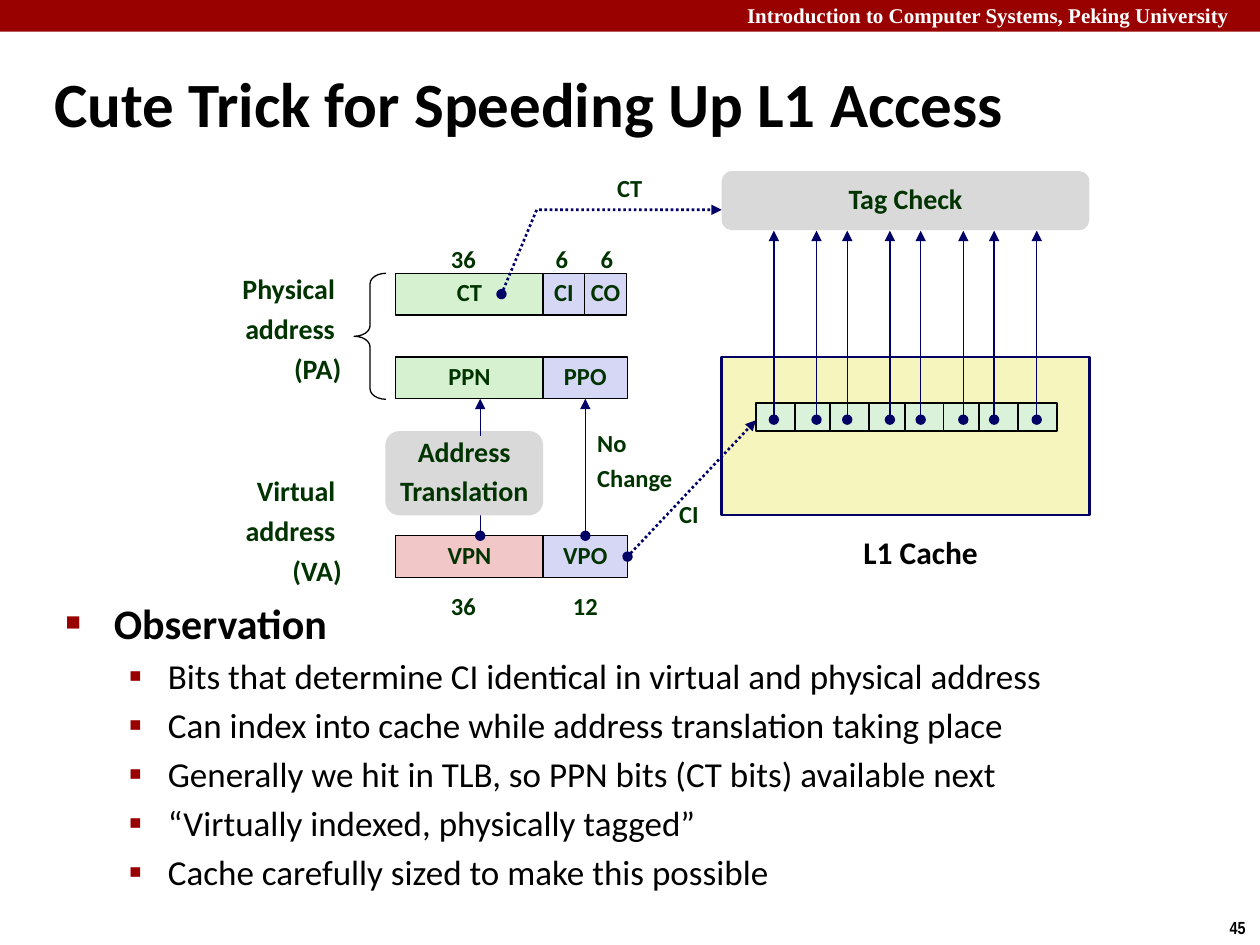
from lxml.etree import SubElement
from pptx import Presentation
from pptx.dml.color import RGBColor
from pptx.enum.dml import MSO_LINE
from pptx.enum.shapes import MSO_CONNECTOR, MSO_SHAPE as SHAPE
from pptx.enum.text import MSO_ANCHOR as ANCHOR, MSO_AUTO_SIZE as AUTO, PP_ALIGN as ALIGN
from pptx.oxml.ns import qn
from pptx.util import Cm, Pt

RED = RGBColor(0x99, 0x00, 0x00)
WHITE = RGBColor(0xFF, 0xFF, 0xFF)
BLACK = RGBColor(0x00, 0x00, 0x00)
DARK_GREEN = RGBColor(0x00, 0x33, 0x00)
NAVY = RGBColor(0x00, 0x00, 0x66)
GREEN = RGBColor(0xD5, 0xF1, 0xCF)
PALE_GREEN = RGBColor(0xDB, 0xF2, 0xDA)
LILAC = RGBColor(0xD6, 0xD6, 0xF5)
PINK = RGBColor(0xF1, 0xC7, 0xC7)
GREY = RGBColor(0xD9, 0xD9, 0xD9)
YELLOW = RGBColor(0xF6, 0xF5, 0xBD)

# Address fields: left edges, widths and row tops in cm
TAG_X, OFFSET_X, CO_X = 7.98, 10.95, 11.79
TAG_W, OFFSET_W, HALF_W, ROW_H = 2.97, 1.7, 0.84, 0.84
PA_Y, PPN_Y, VA_Y = 5.51, 7.2, 10.8
CACHE_X, CACHE_W = 14.55, 7.41


def write(tf, text, size=14, color=DARK_GREEN, bold=True, font="Calibri",
          align=ALIGN.LEFT, spacing=0.88, before=5.2):
    """Fill a text frame with one paragraph per line of text."""
    for i, line in enumerate(text.split("\n")):
        p = tf.paragraphs[0] if i == 0 else tf.add_paragraph()
        p.alignment = align
        p.line_spacing = spacing
        p.space_before = Pt(before if i else 0)
        r = p.add_run()
        r.text = line
        r.font.size, r.font.bold, r.font.name = Pt(size), bold, font
        r.font.color.rgb = color


def add_label(s, text, x, y, w, h=0.79, wrap=False, **fmt):
    tf = s.shapes.add_textbox(Cm(x), Cm(y), Cm(w), Cm(h)).text_frame
    tf.word_wrap = wrap
    tf.auto_size = AUTO.SHAPE_TO_FIT_TEXT
    write(tf, text, **fmt)


def add_box(s, x, y, w, h, fill=None, line=None, width=0.75, text="",
            kind=SHAPE.RECTANGLE, size=14):
    sp = s.shapes.add_shape(kind, Cm(x), Cm(y), Cm(w), Cm(h))
    sp.shadow.inherit = False
    if fill is None:
        sp.fill.background()
    else:
        sp.fill.solid()
        sp.fill.fore_color.rgb = fill
    if line is None:
        sp.line.fill.background()
    else:
        sp.line.color.rgb = line
        sp.line.width = Pt(width)
    if text:
        tf = sp.text_frame
        tf.word_wrap = False
        tf.vertical_anchor = ANCHOR.MIDDLE
        write(tf, text, size=size, align=ALIGN.CENTER)
    return sp


def style_arrow(sp, dotted=False, start_dot=True):
    sp.line.color.rgb = NAVY
    sp.line.width = Pt(1.5 if dotted else 0.75)
    if dotted:
        sp.line.dash_style = MSO_LINE.ROUND_DOT
    ln = sp.element.spPr.find(qn("a:ln"))
    if start_dot:
        SubElement(ln, qn("a:headEnd"), type="oval")
    SubElement(ln, qn("a:tailEnd"), type="triangle")


def add_arrow(s, x1, y1, x2, y2, **style):
    c = s.shapes.add_connector(MSO_CONNECTOR.STRAIGHT, Cm(x1), Cm(y1), Cm(x2), Cm(y2))
    style_arrow(c, **style)
    SubElement(c.element.spPr, qn("a:effectLst"))


def add_bent_arrow(s, start, *points):
    fb = s.shapes.build_freeform(*map(Cm, start))
    fb.add_line_segments([(Cm(x), Cm(y)) for x, y in points], close=False)
    sp = fb.convert_to_shape()
    sp.fill.background()
    style_arrow(sp, dotted=True)
    sp.shadow.inherit = False


def set_indent(p, left, first):
    pPr = p._p.get_or_add_pPr()
    pPr.set("marL", str(Cm(left)))
    pPr.set("indent", str(Cm(first)))
    return pPr


def set_bullet(p, char, percent, left, hang):
    pPr = set_indent(p, left, -hang)
    SubElement(SubElement(pPr, qn("a:buClr")), qn("a:srgbClr"), val=str(RED))
    SubElement(pPr, qn("a:buSzPct"), val=str(percent * 1000))
    SubElement(pPr, qn("a:buChar"), char=char)


def place(sp, x, y, w, h, anchor):
    sp.left, sp.top, sp.width, sp.height = Cm(x), Cm(y), Cm(w), Cm(h)
    tf = sp.text_frame
    tf.word_wrap, tf.auto_size, tf.vertical_anchor = True, AUTO.NONE, anchor
    return tf


def add_header(s):
    add_box(s, 0, 0, 25.4, 0.64, RED)
    add_label(s, "Introduction to Computer Systems, Peking University", 14.81, -0.08,
              10.77, 0.76, wrap=True, size=12, color=WHITE, font="Times New Roman", spacing=1)
    add_label(s, "45", 24.54, 18.36, 0.86, 0.69, size=10, color=BLACK,
              font="Arial Narrow", spacing=1)


def add_title_and_list(s):
    tf = place(s.shapes.title, 0.84, 1.27, 22.02, 1.6, ANCHOR.MIDDLE)
    write(tf, "Cute Trick for Speeding Up L1 Access", size=36, color=BLACK, spacing=1)
    set_indent(tf.paragraphs[0], 0.33, -0.33)

    tf = place(s.placeholders[1], 1.07, 11.91, 23.75, 6.5, ANCHOR.TOP)
    write(tf, "Observation\n"
              "Bits that determine CI identical in virtual and physical address\n"
              "Can index into cache while address translation taking place\n"
              "Generally we hit in TLB, so PPN bits (CT bits) available next\n"
              "“Virtually indexed, physically tagged”\n"
              "Cache carefully sized to make this possible",
          size=20, color=BLACK, bold=False, spacing=1, before=4)
    heading, *items = tf.paragraphs
    heading.runs[0].font.size, heading.runs[0].font.bold = Pt(24), True
    set_bullet(heading, "■", 60, 0.97, 0.97)
    for p in items:
        p.level = 1
        set_bullet(p, "▪", 110, 2.06, 0.79)


def add_addresses(s):
    # Address names and brace
    for text, x, y, w in (("Physical \naddress \n(PA)", 0.2, 5.44, 6.93),
                          ("Virtual \naddress \n(VA)", 4.17, 9.5, 2.97)):
        add_label(s, text, x, y, w, 2.49, wrap=True, size=16, align=ALIGN.RIGHT, before=6)
    brace = add_box(s, 7.14, PA_Y, 0.64, 2.54, line=BLACK, kind=SHAPE.LEFT_BRACE)
    brace.adjustments[0] = 0.333

    # Address fields
    for text, x, y, w, fill in (("CT", TAG_X, PA_Y, TAG_W, GREEN),
                                ("CI", OFFSET_X, PA_Y, HALF_W, LILAC),
                                ("CO", CO_X, PA_Y, HALF_W, LILAC),
                                ("PPN", TAG_X, PPN_Y, TAG_W, GREEN),
                                ("PPO", OFFSET_X, PPN_Y, OFFSET_W, LILAC),
                                ("VPN", TAG_X, VA_Y, TAG_W, PINK),
                                ("VPO", OFFSET_X, VA_Y, OFFSET_W, LILAC)):
        add_box(s, x, y, w, ROW_H, fill, BLACK, text=text)

    # Bit counts
    for text, x, y, w in (("36", 8.84, 4.88, 1.02), ("6", OFFSET_X, 4.88, 0.76),
                          ("6", 11.86, 4.88, 0.76), ("36", 8.84, 11.86, 1.02)):
        add_label(s, text, x, y, w)
    add_label(s, "12", OFFSET_X, 11.86, OFFSET_W, wrap=True, align=ALIGN.CENTER)

    # Translation from virtual to physical
    add_arrow(s, 9.68, VA_Y, 9.68, 10.16)
    add_box(s, 7.77, 8.69, 3.18, 1.7, GREY, text="Address\nTranslation",
            kind=SHAPE.ROUNDED_RECTANGLE, size=16)
    add_arrow(s, 9.68, 8.79, 9.68, 8.04, start_dot=False)
    add_arrow(s, 11.8, VA_Y, 11.8, 8.04)
    add_label(s, "No\nChange", 11.79, 8.59, 2.03, 1.5)


def add_cache(s):
    add_box(s, CACHE_X, 7.2, CACHE_W, 3.18, YELLOW, NAVY, 1.5)
    add_label(s, "L1 Cache", 16.87, 10.62, 3.38, 1.02, wrap=True, size=18, color=BLACK,
              align=ALIGN.CENTER, spacing=1)

    # Index and tag paths
    add_arrow(s, 12.65, 11.22, 15.24, 8.47, dotted=True)
    add_label(s, "CI", 13.44, 10.01, 0.91)
    add_bent_arrow(s, (10.11, 5.93), (10.82, 4.23), (CACHE_X, 4.23))
    add_label(s, "CT", 12.19, 3.45, 1.02)

    # Cache lines in pairs, each sending its tag up to the check
    for pair in range(4):
        for half in range(2):
            add_box(s, 15.24 + 1.5 * pair + 0.78 * half, 8.13, 0.79, 0.56,
                    PALE_GREEN, BLACK, 1)
    for pair in range(4):
        for half in range(2):
            x = 15.6 + 1.48 * pair + 0.86 * half
            add_arrow(s, x, 8.46, x, 4.65)
    add_box(s, CACHE_X, 3.45, CACHE_W, 1.19, GREY, text="Tag Check",
            kind=SHAPE.ROUNDED_RECTANGLE, size=16)


def main():
    prs = Presentation()
    prs.slide_width, prs.slide_height = Cm(25.4), Cm(19.05)
    s = prs.slides.add_slide(prs.slide_layouts[1])
    add_header(s)
    add_title_and_list(s)
    add_addresses(s)
    add_cache(s)
    prs.save("out.pptx")


if __name__ == "__main__":
    main()
